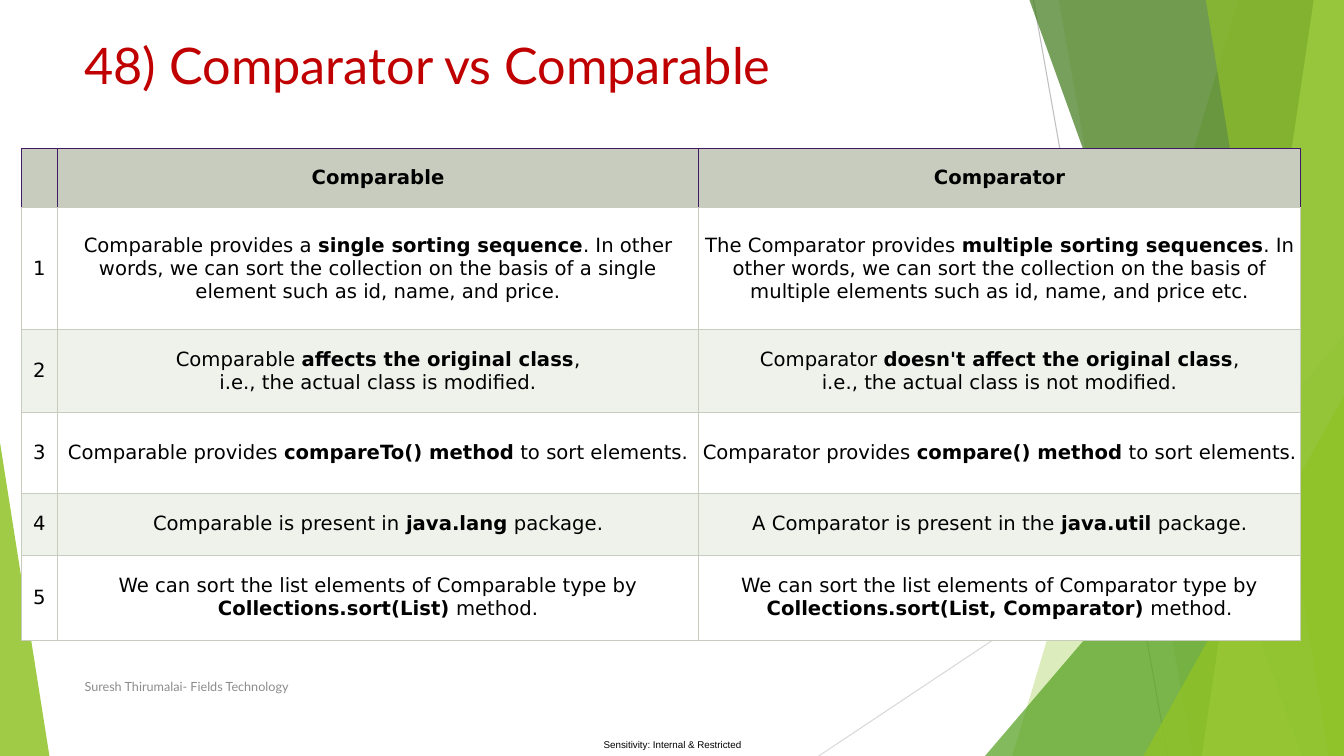
import pptx
import pptx.dml.color
import pptx.enum.shapes
import pptx.enum.text
import pptx.oxml
import pptx.oxml.ns
import pptx.util
from pptx.util import Inches

WIDTH, HEIGHT = 13.33, 7.5
GREEN, BORDER, PURPLE = "90C226", "C7CCBE", "401A64"
MIDDLE = pptx.enum.text.MSO_ANCHOR.MIDDLE
TOP = pptx.enum.text.MSO_ANCHOR.TOP
LEFT = pptx.enum.text.PP_ALIGN.LEFT
CENTER = pptx.enum.text.PP_ALIGN.CENTER


def rgb(value):
    return pptx.dml.color.RGBColor.from_string(value)


class Deck:
    """Draws styled elements on the current slide."""

    font = "DejaVu Sans"
    size = 14

    def __init__(self):
        self.prs = pptx.Presentation()
        self.prs.slide_width, self.prs.slide_height = Inches(WIDTH), Inches(HEIGHT)
        self.s = self.prs.slides.add_slide(self.prs.slide_layouts[6])

    def element(self, parent, tag, **attributes):
        child = parent.makeelement(pptx.oxml.ns.qn(tag), attributes)
        parent.append(child)
        return child

    def style(self, r, size, color, font, bold=False):
        r.font.size, r.font.name, r.font.bold = pptx.util.Pt(size), font, bold
        r.font.color.rgb = rgb(color)

    def line(self, x1, y1, x2, y2, color):
        c = self.s.shapes.add_connector(
            pptx.enum.shapes.MSO_CONNECTOR.STRAIGHT,
            Inches(x1), Inches(y1), Inches(x2), Inches(y2))
        c.line.color.rgb, c.line.width = rgb(color), pptx.util.Pt(0.75)
        self.element(c._element.spPr, "a:effectLst")

    def paint(self, sp, color, opacity):
        sp.shadow.inherit = False
        sp.fill.solid()
        sp.fill.fore_color.rgb = rgb(color)
        sp.line.fill.background()
        clr = sp._element.spPr.find(".//" + pptx.oxml.ns.qn("a:srgbClr"))
        self.element(clr, "a:alpha", val=str(opacity * 1000))

    def facet(self, top, bottom, color, opacity):
        fb = self.s.shapes.build_freeform(Inches(top), 0)
        fb.add_line_segments([(Inches(x), Inches(y)) for x, y in
                              ((WIDTH, 0), (WIDTH, HEIGHT), (bottom, HEIGHT))])
        self.paint(fb.convert_to_shape(), color, opacity)

    def triangle(self, x, y, w, peak, color, opacity):
        sp = self.s.shapes.add_shape(
            pptx.enum.shapes.MSO_SHAPE.ISOSCELES_TRIANGLE,
            Inches(x), Inches(y), Inches(w), Inches(HEIGHT - y))
        sp.adjustments[0] = peak
        self.paint(sp, color, opacity)

    def text(self, x, y, w, h, text, size, color, font,
             anchor=MIDDLE, align=LEFT, inset=(0.1, 0.05)):
        tf = self.s.shapes.add_textbox(Inches(x), Inches(y), Inches(w), Inches(h)).text_frame
        tf.word_wrap, tf.vertical_anchor = True, anchor
        tf.margin_left = tf.margin_right = Inches(inset[0])
        tf.margin_top = tf.margin_bottom = Inches(inset[1])
        tf.text = text
        p = tf.paragraphs[0]
        p.alignment = align
        self.style(p.runs[0], size, color, font)

    def cell(self, cell, text, fill, side, margin):
        tcPr = cell._tc.get_or_add_tcPr()
        for tag, color in (("a:lnL", side), ("a:lnR", side), ("a:lnT", side), ("a:lnB", BORDER)):
            ln = self.element(tcPr, tag, w="6350")
            self.element(self.element(ln, "a:solidFill"), "a:srgbClr", val=color)
        cell.fill.solid()
        cell.fill.fore_color.rgb = rgb(fill)
        cell.vertical_anchor = MIDDLE
        cell.margin_left = cell.margin_right = Inches(margin)
        cell.margin_top = cell.margin_bottom = Inches(margin)
        for i, paragraph in enumerate(text.split("\n")):
            tf = cell.text_frame
            p = tf.add_paragraph() if i else tf.paragraphs[0]
            p.alignment = CENTER
            for j, part in enumerate(paragraph.split("**")):
                if part:
                    r = p.add_run()
                    r.text = part
                    self.style(r, self.size, "000000", self.font, j % 2 == 1)

    def table(self, x, y, widths, heights, rows):
        table = self.s.shapes.add_table(
            len(rows), len(widths), Inches(x), Inches(y),
            Inches(sum(widths)), Inches(sum(heights))).table
        table.first_row = table.horz_banding = False
        for column, width in zip(table.columns, widths):
            column.width = Inches(width)
        for i, (height, texts) in enumerate(zip(heights, rows)):
            table.rows[i].height = Inches(height)
            fill = ("EFF1EB" if i % 2 == 0 else "FFFFFF") if i else BORDER
            for j, text in enumerate(texts):
                self.cell(table.cell(i, j), text, fill,
                          BORDER if i else PURPLE, 0.03 if i else 0.04)


ROWS = [
    ("", "**Comparable**", "**Comparator**"),
    ("1",
     "Comparable provides a **single sorting sequence**. In other words, we can sort "
     "the collection on the basis of a single element such as id, name, and price.",
     "The Comparator provides **multiple sorting sequences**. In other words, we can sort "
     "the collection on the basis of multiple elements such as id, name, and price etc."),
    ("2",
     "Comparable **affects the original class**,\ni.e., the actual class is modified.",
     "Comparator **doesn't affect the original class**,\ni.e., the actual class is not modified."),
    ("3",
     "Comparable provides **compareTo() method** to sort elements.",
     "Comparator provides **compare() method** to sort elements."),
    ("4",
     "Comparable is present in **java.lang** package.",
     "A Comparator is present in the **java.util** package."),
    ("5",
     "We can sort the list elements of Comparable type by **Collections.sort(List)** method.",
     "We can sort the list elements of Comparator type "
     "by **Collections.sort(List, Comparator)** method."),
]


def main():
    deck = Deck()
    deck.line(10.25, 0, 11.58, HEIGHT, "BFBFBF")
    deck.line(WIDTH, 4.03, 8.12, HEIGHT, "D9D9D9")
    deck.facet(12.28, 10.04, GREEN, 30)
    deck.facet(10.5, 11.83, GREEN, 20)
    deck.triangle(9.77, 3.33, 3.56, 1, "54A021", 72)
    deck.facet(10.21, 12.91, "3F7819", 70)
    deck.facet(13.03, 11.92, "C0E474", 70)
    deck.facet(11.96, 13.18, GREEN, 65)
    deck.triangle(11.34, 3.93, 1.99, 1, GREEN, 80)
    deck.triangle(0, 4.39, 0.49, 0, GREEN, 85)
    deck.text(5.85, 7.28, 1.64, 0.22, "Sensitivity: Internal & Restricted", 7, "000000",
              "Arial", align=CENTER, inset=(0, 0))
    deck.text(0.74, 0.29, 9.4, 0.9, "48) Comparator vs Comparable", 36, "C00000",
              "Lato", anchor=TOP)
    deck.table(0.21, 1.47, (0.36, 6.36, 5.97), (0.59, 1.21, 0.82, 0.8, 0.62, 0.84), ROWS)
    deck.text(0.74, 6.61, 6.89, 0.4, "Suresh Thirumalai- Fields Technology", 9, "8C8C8C", "Lato")
    deck.prs.save("out.pptx")


if __name__ == "__main__":
    main()
